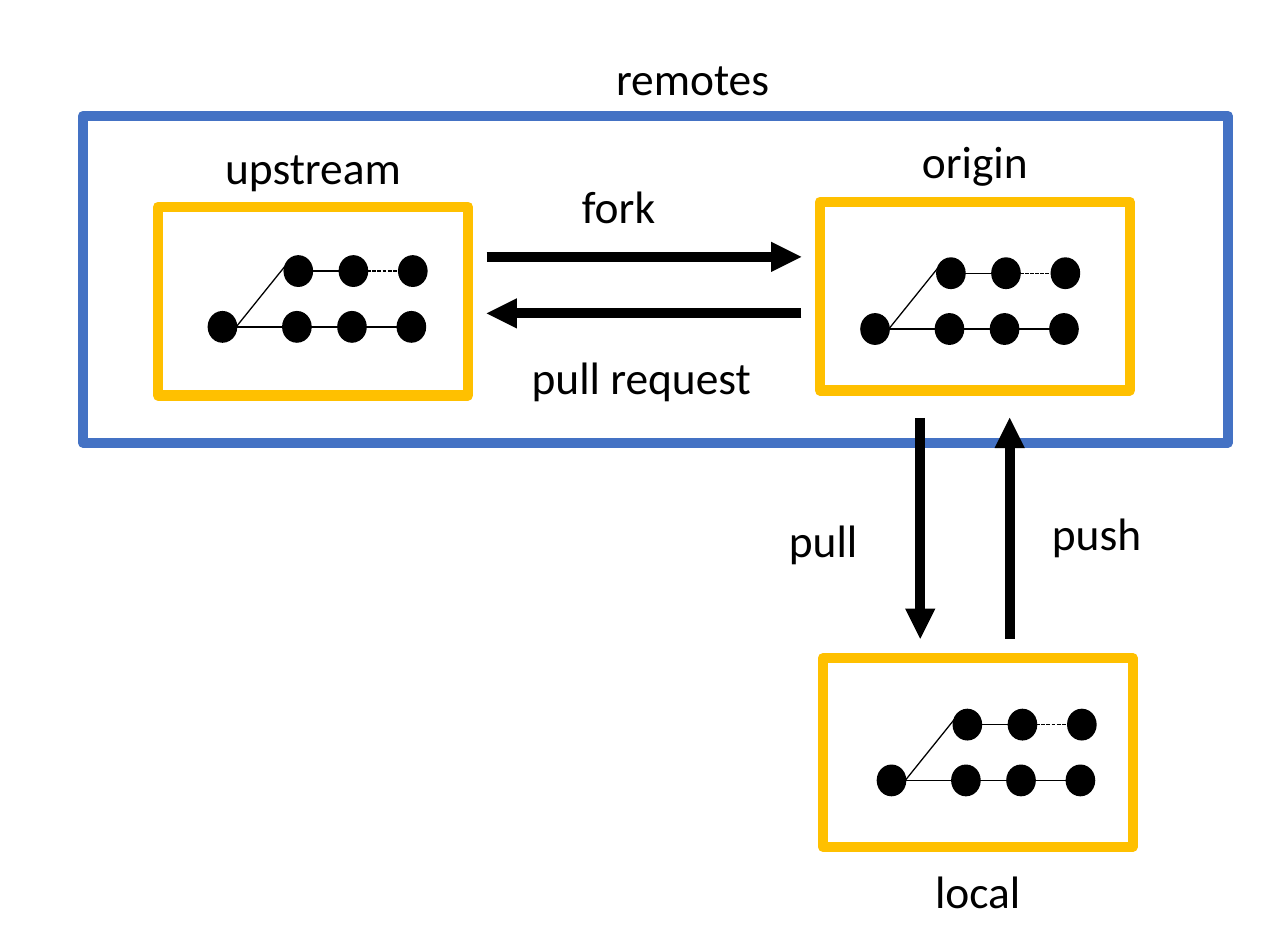
from dataclasses import dataclass

from lxml.etree import SubElement
from pptx import Presentation
from pptx.dml.color import RGBColor
from pptx.enum.dml import MSO_LINE_DASH_STYLE as Dash
from pptx.enum.shapes import MSO_CONNECTOR as Connector, MSO_SHAPE as Shape
from pptx.enum.text import PP_ALIGN as Align
from pptx.oxml.ns import qn
from pptx.util import Cm, Pt


@dataclass(frozen=True)
class Theme:
    """Colours, font and sizes of the slide."""
    ink: RGBColor = RGBColor(0, 0, 0)
    paper: RGBColor = RGBColor(255, 255, 255)
    remotes: RGBColor = RGBColor(0x44, 0x72, 0xC4)
    repository: RGBColor = RGBColor(0xFF, 0xC0, 0x00)
    font: str = "Calibri"
    label_size: Pt = Pt(18)
    heavy: Pt = Pt(4)
    outline: Pt = Pt(1)
    fine: Pt = Pt(0.5)


@dataclass(frozen=True)
class Box:
    """A region in centimetres."""
    left: float
    top: float
    width: float
    height: float

    def inner(self, dx, dy, width, height):
        """Return a box offset from this one's corner."""
        return Box(self.left + dx, self.top + dy, width, height)

    def lengths(self):
        """Return left, top, width and height as lengths."""
        return Cm(self.left), Cm(self.top), Cm(self.width), Cm(self.height)


THEME = Theme()
LABEL_HEIGHT = 1.02
REPOSITORY_SIZE = (4.33, 2.64)
COMMIT_WIDTH, COMMIT_HEIGHT = 0.38, 0.41
MAIN_COMMITS = (0, 1.04, 1.81, 2.64)
BRANCH_COMMITS = (1.06, 1.83, 2.66)
BRANCH_RISE = 0.78


def add_filled(shapes, kind, box, fill, line, weight):
    """Draw a preset shape with a solid fill and outline."""
    shape = shapes.add_shape(kind, *box.lengths())
    shape.shadow.inherit = False
    shape.fill.solid()
    shape.fill.fore_color.rgb = fill
    shape.line.color.rgb = line
    shape.line.width = weight


def add_label(shapes, box, words):
    """Write a centred label."""
    label = shapes.add_textbox(*box.lengths()).text_frame
    label.word_wrap = True
    paragraph = label.paragraphs[0]
    paragraph.alignment = Align.CENTER
    run = paragraph.add_run()
    run.text = words
    run.font.name = THEME.font
    run.font.size = THEME.label_size
    run.font.color.rgb = THEME.ink


def add_line(shapes, start, end, weight):
    """Draw a straight line without a shadow."""
    line = shapes.add_connector(
        Connector.STRAIGHT, *(Cm(value) for value in (*start, *end)))
    line.line.color.rgb = THEME.ink
    line.line.width = weight
    SubElement(line._element.spPr, qn("a:effectLst"))
    return line


def add_arrow(shapes, start, end):
    """Draw a heavy arrow pointing at its end."""
    arrow = add_line(shapes, start, end, THEME.heavy)
    SubElement(arrow.line._get_or_add_ln(), qn("a:tailEnd"), type="triangle")


def add_history(shapes, root_x, root_y):
    """Draw the commit graph as one group, starting at its root commit."""
    history = shapes.add_group_shape().shapes
    radius = COMMIT_WIDTH / 2
    branch_y = root_y - BRANCH_RISE
    for row_y, offsets in ((root_y, MAIN_COMMITS), (branch_y, BRANCH_COMMITS)):
        centres = [root_x + offset for offset in offsets]
        for x in centres:
            commit = Box(x - radius, row_y - COMMIT_HEIGHT / 2, COMMIT_WIDTH, COMMIT_HEIGHT)
            add_filled(history, Shape.OVAL, commit, THEME.ink, THEME.ink, THEME.outline)
        for before, after in zip(centres, centres[1:]):
            edge = add_line(history, (before + radius, row_y), (after - radius, row_y), THEME.fine)
    edge.line.dash_style = Dash.SQUARE_DOT
    add_line(history, (root_x + radius, root_y),
             (root_x + BRANCH_COMMITS[0] - 0.13, branch_y - 0.14), THEME.fine)


def add_repository(shapes, box, name, label_dy, root):
    """Draw a framed repository with its name and commit graph."""
    add_filled(shapes, Shape.RECTANGLE, box, THEME.paper, THEME.repository, THEME.heavy)
    add_label(shapes, box.inner(0, label_dy, box.width, LABEL_HEIGHT), name)
    add_history(shapes, box.left + root[0], box.top + root[1])


def add_remotes(shapes, box):
    """Draw the remotes with upstream, origin and the traffic between them."""
    add_filled(shapes, Shape.RECTANGLE, box, THEME.paper, THEME.remotes, THEME.heavy)
    add_label(shapes, box.inner(5.8, -1.04, 5.44, LABEL_HEIGHT), "remotes")
    add_repository(shapes, box.inner(1.05, 1.27, *REPOSITORY_SIZE), "upstream", -1.07, (0.9, 1.68))
    add_repository(shapes, box.inner(10.3, 1.2, *REPOSITORY_SIZE), "origin", -1.09, (0.77, 1.78))
    near, far = box.left + 5.64, box.left + 10.04
    fork_y, request_y = box.top + 1.97, box.top + 2.76
    add_arrow(shapes, (near, fork_y), (far, fork_y))
    add_arrow(shapes, (far, request_y), (near, request_y))
    add_label(shapes, box.inner(6.43, 0.74, 2.11, LABEL_HEIGHT), "fork")
    add_label(shapes, box.inner(5.95, 3.13, 3.71, LABEL_HEIGHT), "pull request")


def add_sync(shapes, box):
    """Draw the pull and push arrows between origin and local."""
    pull_x, push_x = box.left + 2.75, box.left + 4.0
    bottom = box.top + box.height
    add_arrow(shapes, (pull_x, box.top), (pull_x, bottom))
    add_arrow(shapes, (push_x, bottom), (push_x, box.top))
    add_label(shapes, box.inner(0, 1.2, 2.79, LABEL_HEIGHT), "pull")
    add_label(shapes, box.inner(4.16, 1.09, 2.11, LABEL_HEIGHT), "push")


def main():
    """Build the slide and save it."""
    deck = Presentation()
    deck.slide_width, deck.slide_height = Cm(18), Cm(13)
    shapes = deck.slides.add_slide(deck.slide_layouts[6]).shapes
    add_remotes(shapes, Box(1.16, 1.62, 16, 4.57))
    add_sync(shapes, Box(10.11, 5.84, 6.27, 3.09))
    add_repository(shapes, Box(11.5, 9.2, *REPOSITORY_SIZE), "local", 2.74, (0.96, 1.71))
    deck.save("out.pptx")


if __name__ == "__main__":
    main()
